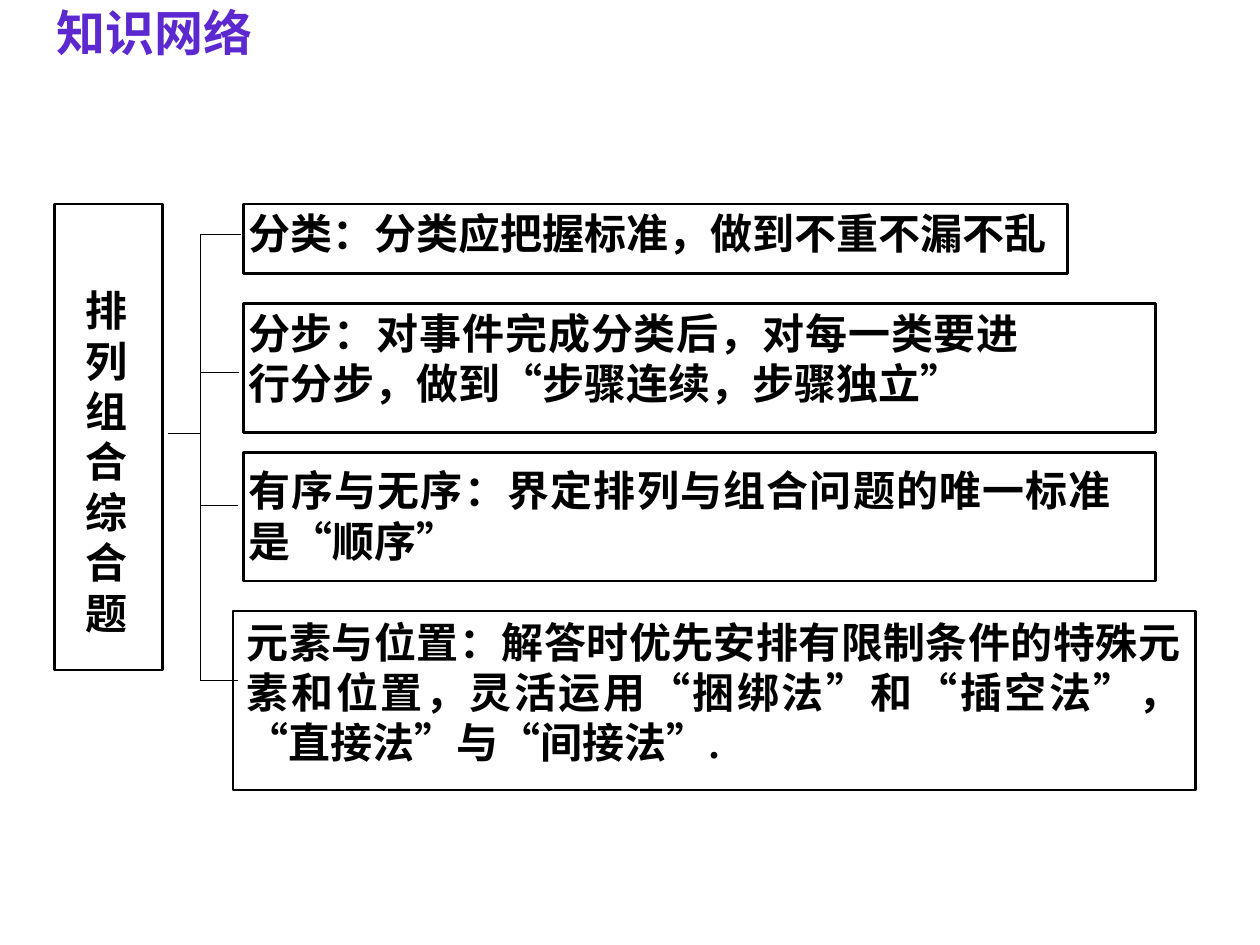
from lxml.etree import SubElement
from pptx import Presentation
from pptx.dml.color import RGBColor
from pptx.enum.lang import MSO_LANGUAGE_ID as Lang
from pptx.enum.shapes import MSO_CONNECTOR as Connector, MSO_SHAPE as Shape
from pptx.enum.text import PP_ALIGN as Align
from pptx.oxml.ns import qn
from pptx.util import Pt

BLACK = RGBColor(0x00, 0x00, 0x00)
PURPLE = RGBColor(0x5C, 0x28, 0xD0)
TRUNK_X = 114.5
BRANCHES = [
    ("分类：分类应把握标准，做到不重不漏不乱",
     (139, 116.6, 471, 39.6), (141.8, 118.8, 460, 44), (137.5, 133.9)),
    ("分步：对事件完成分类后，对每一类要进行分步，做到“步骤连续，步骤独立”",
     (139, 173.5, 521.3, 73.5), (141.8, 175.7, 440.6, 72.7), (136.8, 213.1)),
    ("有序与无序：界定排列与组合问题的唯一标准是“顺序”",
     (139, 258.5, 521.3, 73.5), (141.8, 265.7, 493.2, 44), (136, 288.7)),
    ("元素与位置：解答时优先安排有限制条件的特殊元素和位置，"
     "灵活运用“捆绑法”和“插空法”，“直接法”与“间接法”.",
     (133.2, 349.2, 550, 102.2), (141.1, 352.1, 533.5, 86.4), (136, 388.8)),
]


def add_text(page, area, lines, size=24, color=BLACK, align=Align.JUSTIFY,
             margins=(0, 0), wrap=True):
    """Place bold paragraphs in a text box."""
    box = page.shapes.add_textbox(*map(Pt, area))
    frame = box.text_frame
    frame.word_wrap = wrap
    frame.margin_left = frame.margin_right = Pt(margins[0])
    frame.margin_top = frame.margin_bottom = Pt(margins[1])
    for index, line in enumerate(lines):
        para = frame.paragraphs[0] if index == 0 else frame.add_paragraph()
        para.alignment = align
        span = para.add_run()
        span.text = line
        span.font.name = "Times New Roman"
        span.font.size = Pt(size)
        span.font.bold = True
        span.font.color.rgb = color
        span.font.language_id = Lang.SIMPLIFIED_CHINESE


def add_frame(page, area):
    """Draw an unfilled black rectangle."""
    box = page.shapes.add_shape(Shape.RECTANGLE, *map(Pt, area))
    box.shadow.inherit = False
    box.fill.background()
    box.line.color.rgb = BLACK
    box.line.width = Pt(1.5)


def add_line(page, start, end):
    """Draw a thin black line between two points."""
    line = page.shapes.add_connector(Connector.STRAIGHT, *map(Pt, start + end))
    line.line.color.rgb = BLACK
    line.line.width = Pt(0.45)
    SubElement(line._element.spPr, qn("a:effectLst"))


def add_title(page, area):
    """Place the slide heading."""
    add_text(page, area, ["知识网络"], size=28, color=PURPLE,
             align=Align.LEFT, margins=(7.2, 3.6), wrap=False)


def add_root(page, area):
    """Place the framed topic, one character to a line."""
    left, top, width, height = area
    add_text(page, (left + 18, top + 46.1, 47.5, height - 39.6),
             ["排列", "组合", "综合", "题"])
    add_frame(page, area)


def add_bracket(page, ends, stem):
    """Draw the trunk, its stem and a branch to each end point."""
    add_line(page, (TRUNK_X, ends[0][1]), (TRUNK_X, ends[-1][1]))
    add_line(page, stem, (TRUNK_X, stem[1]))
    for end in ends:
        add_line(page, (TRUNK_X, end[1]), end)


def add_branch(page, text, frame_area, text_area):
    """Place one framed statement."""
    add_text(page, text_area, [text])
    add_frame(page, frame_area)


def main():
    """Build the knowledge network slide."""
    deck = Presentation()
    deck.slide_width, deck.slide_height = Pt(720), Pt(540)
    page = deck.slides.add_slide(deck.slide_layouts[6])
    add_title(page, (25.2, -2.2, 130.3, 41))
    add_bracket(page, [branch[3] for branch in BRANCHES], (95.8, 247.7))
    add_root(page, (31, 116.6, 62, 266.4))
    for text, frame_area, text_area, _ in BRANCHES:
        add_branch(page, text, frame_area, text_area)
    deck.save("out.pptx")


if __name__ == "__main__":
    main()
